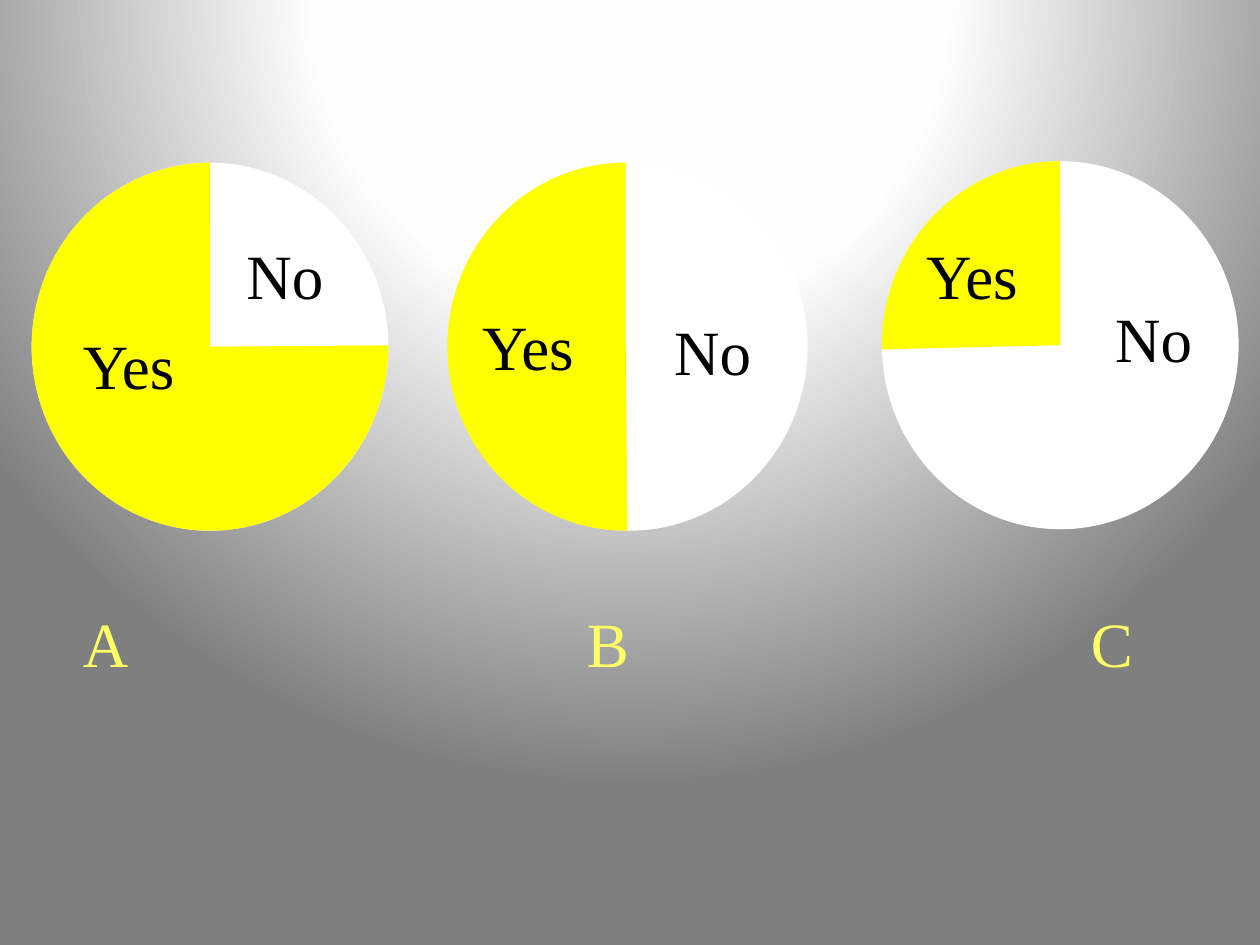
from dataclasses import dataclass

from lxml.etree import SubElement
from pptx import Presentation
from pptx.dml.color import RGBColor
from pptx.enum.shapes import MSO_SHAPE
from pptx.enum.text import MSO_AUTO_SIZE
from pptx.oxml import parse_xml
from pptx.oxml.ns import nsdecls, qn
from pptx.util import Cm, Pt


@dataclass(frozen=True)
class Theme:
    font: str = "Times New Roman"
    size: int = 36
    yes: str = "FFFF00"
    no: str = "FFFFFF"
    text: str = "000000"
    letter: str = "FFFF66"
    # Background stops: position in percent, colour
    background: tuple = ((0, "FFFFFF"), (40, "FEFEFE"), (100, "7F7F7F"))


theme = Theme()


def add_text(text, *, left, top, width, color=theme.text):
    box = slide.shapes.add_textbox(Cm(left), Cm(top), Cm(width), Cm(1.8))
    box.text_frame.word_wrap = True
    box.text_frame.auto_size = MSO_AUTO_SIZE.SHAPE_TO_FIT_TEXT
    paragraph = box.text_frame.paragraphs[0]
    run = paragraph.add_run()
    run.text = text
    run.font.name = theme.font
    run.font.size = Pt(theme.size)
    run.font.color.rgb = RGBColor.from_string(color)
    return paragraph


def add_disc(kind, *, left, top, color):
    shape = slide.shapes.add_shape(kind, Cm(left), Cm(top), Cm(7.19), Cm(7.42))
    shape.shadow.inherit = False
    shape.fill.solid()
    shape.fill.fore_color.rgb = RGBColor.from_string(color)
    shape.line.fill.background()
    return shape


presentation = Presentation()
presentation.slide_width = Cm(25.4)
presentation.slide_height = Cm(19.05)
slide = presentation.slides.add_slide(presentation.slide_layouts[6])

# Background: radial gradient centred above the slide
stops = "".join(
    f'<a:gs pos="{position * 1000}"><a:srgbClr val="{color}"/></a:gs>'
    for position, color in theme.background
)
background = parse_xml(
    f'<p:bg {nsdecls("p", "a")}><p:bgPr><a:gradFill rotWithShape="1">'
    f"<a:gsLst>{stops}</a:gsLst>"
    '<a:path path="circle">'
    '<a:fillToRect l="50000" t="-80000" r="50000" b="180000"/></a:path>'
    "</a:gradFill><a:effectLst/></p:bgPr></p:bg>"
)
slide.element.cSld.insert(0, background)

# Pies: left of disc, left of slice, top, start angle of the Yes slice in degrees
pies = [
    (0.64, 0.64, 3.28, 359.57),
    (9.09, 9.02, 3.28, 89.45),
    (17.78, 17.78, 3.25, 178.65),
]
for disc_left, slice_left, top, start in pies:
    add_disc(MSO_SHAPE.OVAL, left=disc_left, top=top, color=theme.no)
    yes_slice = add_disc(MSO_SHAPE.PIE, left=slice_left, top=top, color=theme.yes)
    # Angles are stored in 60000ths of a degree, adjustments in 100000ths
    yes_slice.adjustments[0] = start * 0.6
    yes_slice.adjustments[1] = 270 * 0.6

# Slice labels
labels = [
    ("No", 4.72, 4.65),
    ("Yes", 1.42, 6.45),
    ("Yes", 9.47, 6.07),
    ("No", 13.34, 6.17),
    ("No", 22.23, 5.92),
    ("Yes", 18.42, 4.65),
]
for text, left, top in labels:
    add_text(text, left=left, top=top, width=2.46)

# Letters under the pies, spaced by tab stops
letters = add_text("A\tB\tC", left=1.42, top=12.07, width=23.27, color=theme.letter)
properties = letters._p.get_or_add_pPr()
tab_list = SubElement(properties, qn("a:tabLst"))
for column in (1, 2):
    SubElement(tab_list, qn("a:tab"), pos=str(Cm(10.16 * column)), algn="l")

presentation.save("out.pptx")
